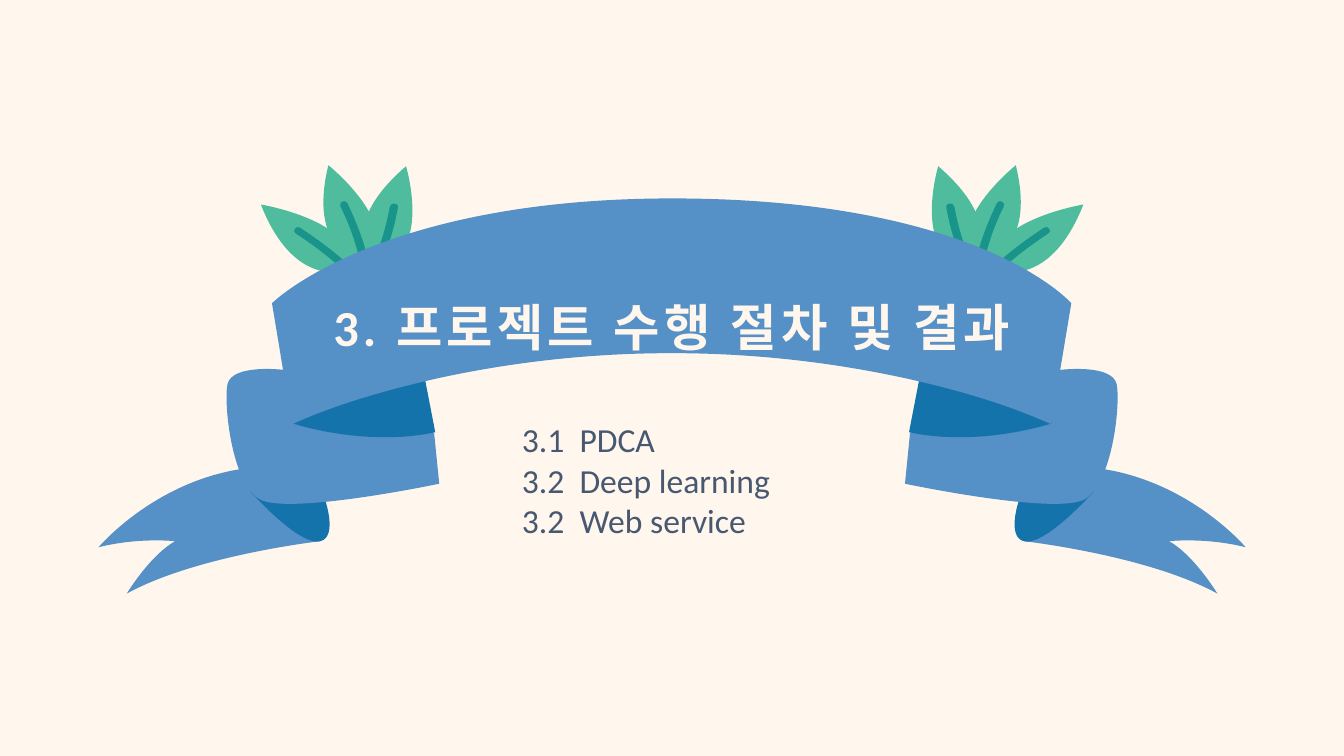
from collections import namedtuple
from dataclasses import dataclass

from pptx import Presentation
from pptx.dml.color import RGBColor
from pptx.enum.text import MSO_ANCHOR, PP_ALIGN
from pptx.oxml.ns import qn
from pptx.util import Pt

TOP = MSO_ANCHOR.TOP
LEFT, CENTER = PP_ALIGN.LEFT, PP_ALIGN.CENTER

Box = namedtuple("Box", "left top width height")


@dataclass(frozen=True)
class Theme:
    cream: RGBColor = RGBColor.from_string("FFF7EE")
    ribbon: RGBColor = RGBColor.from_string("5590C6")
    ribbon_shade: RGBColor = RGBColor.from_string("1373AA")
    leaf: RGBColor = RGBColor.from_string("4FBC9E")
    vein: RGBColor = RGBColor.from_string("18948B")
    ink: RGBColor = RGBColor.from_string("475870")
    font: str = "Calibri"
    title_size: int = 36
    topic_size: int = 24


THEME = Theme()

# Outlines are drawn on a grid 1138 units wide that is scaled to the banner box.
# The first pair is the start; then 2 numbers are a line, 6 a Bézier curve.
GRID_WIDTH = 1138

OUTER_LEAF = [(249, 100), (248, 104), (243, 105),
              (229, 108, 189, 110, 161, 39), (161, 39, 256, 55, 249, 100)]
OUTER_VEIN = [(249, 100), (249, 104), (244, 105), (232, 94, 216, 81, 196, 68),
              (194, 67, 193, 65, 195, 63), (196, 61, 198, 61, 200, 62),
              (221, 76, 238, 89, 249, 100)]
MIDDLE_LEAF = [(268, 93), (265, 96), (260, 95),
               (246, 91, 210, 74, 228, 0), (228, 0, 300, 58, 268, 93)]
MIDDLE_VEIN = [(267, 93), (265, 96), (259, 94), (256, 80, 250, 61, 240, 41),
               (239, 39, 240, 37, 242, 36), (244, 35, 246, 36, 247, 38),
               (257, 59, 264, 78, 267, 93)]
INNER_LEAF = [(281, 98), (277, 99), (273, 95),
              (264, 85, 245, 53, 305, 1), (305, 1, 330, 84, 281, 98)]
INNER_VEIN = [(281, 98), (277, 99), (273, 95), (279, 81, 285, 63, 289, 41),
              (290, 39, 292, 37, 294, 38), (296, 38, 298, 40, 297, 42),
              (293, 65, 286, 84, 281, 98)]
TAIL = [(220, 373), (220, 373, 97, 387, 28, 425), (28, 425, 51, 387, 76, 373),
        (76, 373, 40, 369, 0, 379), (0, 379, 58, 310, 152, 300),
        (152, 300, 217, 343, 220, 373)]
CURL = [(151, 324), (151, 324, 190, 368, 213, 373), (235, 377, 233, 347, 217, 312)]
FOLD = [(183, 203), (183, 203, 133, 197, 128, 217), (124, 237, 132, 314, 159, 331),
        (186, 348, 338, 316, 338, 316), (333, 266)]
FOLD_SHADE = [(192, 256), (192, 256, 263, 280, 334, 265), (322, 203),
              (322, 203, 235, 212, 192, 256)]
BAND = [(965, 137), (945, 257), (901, 237, 852, 223, 803, 212),
        (649, 178, 488, 178, 334, 212), (286, 223, 236, 237, 192, 257), (172, 137),
        (172, 137, 276, 33, 569, 33), (875, 33, 965, 137, 965, 137)]

SIDE_PARTS = [
    (OUTER_LEAF, THEME.leaf), (OUTER_VEIN, THEME.vein),
    (MIDDLE_LEAF, THEME.leaf), (MIDDLE_VEIN, THEME.vein),
    (INNER_LEAF, THEME.leaf), (INNER_VEIN, THEME.vein),
    (TAIL, THEME.ribbon), (CURL, THEME.ribbon_shade),
    (FOLD, THEME.ribbon), (FOLD_SHADE, THEME.ribbon_shade),
]


def bend_curves(part, outline):
    """Join each curve's three straight steps into one Bézier segment."""
    path = part._element.find(".//" + qn("a:path"))
    steps = iter(path.findall(qn("a:lnTo")))
    for segment in outline[1:]:
        curve = next(steps)
        if len(segment) == 6:
            curve.tag = qn("a:cubicBezTo")
            for step in (next(steps), next(steps)):
                curve.append(step[0])
                path.remove(step)


def draw_outline(shapes, box, outline, color, mirrored=False):
    unit = box.width / GRID_WIDTH
    points = [(Pt(box.left + unit * (GRID_WIDTH - x if mirrored else x)),
               Pt(box.top + unit * y))
              for segment in outline
              for x, y in zip(segment[::2], segment[1::2])]
    builder = shapes.build_freeform(*points[0])
    builder.add_line_segments(points[1:], close=True)
    part = builder.convert_to_shape()
    bend_curves(part, outline)
    part.shadow.inherit = False
    part.fill.solid()
    part.fill.fore_color.rgb = color
    part.line.fill.background()


def draw_banner(slide, box):
    for mirrored in (False, True):
        side = slide.shapes.add_group_shape()
        for outline, color in SIDE_PARTS:
            draw_outline(side.shapes, box, outline, color, mirrored)
    draw_outline(slide.shapes, box, BAND, THEME.ribbon)


def add_lines(slide, box, lines, size, color, align=LEFT, bold=False, spacing=0):
    """Write one paragraph per line; spacing is the letter spacing in points."""
    frame = slide.shapes.add_textbox(*(Pt(length) for length in box)).text_frame
    frame.word_wrap = True
    frame.vertical_anchor = TOP
    for index, line in enumerate(lines):
        paragraph = frame.add_paragraph() if index else frame.paragraphs[0]
        paragraph.alignment = align
        run = paragraph.add_run()
        run.text = line
        run.font.name = THEME.font
        run.font.size = Pt(size)
        run.font.bold = bold
        run.font.color.rgb = color
        if spacing:
            run.font._element.set("spc", str(spacing * 100))


def build_section_slide(slide, box, title, topics):
    slide.background.fill.solid()
    slide.background.fill.fore_color.rgb = THEME.cream
    draw_banner(slide, box)
    title_box = Box(box.left + 113.3, box.top + 90, box.width - 226.6, 121)
    topics_box = Box(box.left + 295.3, box.top + 178, 304, 94)
    add_lines(slide, title_box, [title], THEME.title_size, THEME.cream,
              CENTER, bold=True, spacing=3)
    add_lines(slide, topics_box, topics, THEME.topic_size, THEME.ink)


def main():
    deck = Presentation()
    deck.slide_width, deck.slide_height = Pt(960), Pt(540)
    slide = deck.slides.add_slide(deck.slide_layouts[6])
    build_section_slide(slide, Box(70.4, 118, 819.4, 306),
                        "3. 프로젝트 수행 절차 및 결과",
                        ["3.1  PDCA", "3.2  Deep learning", "3.2  Web service"])
    deck.save("out.pptx")


if __name__ == "__main__":
    main()
